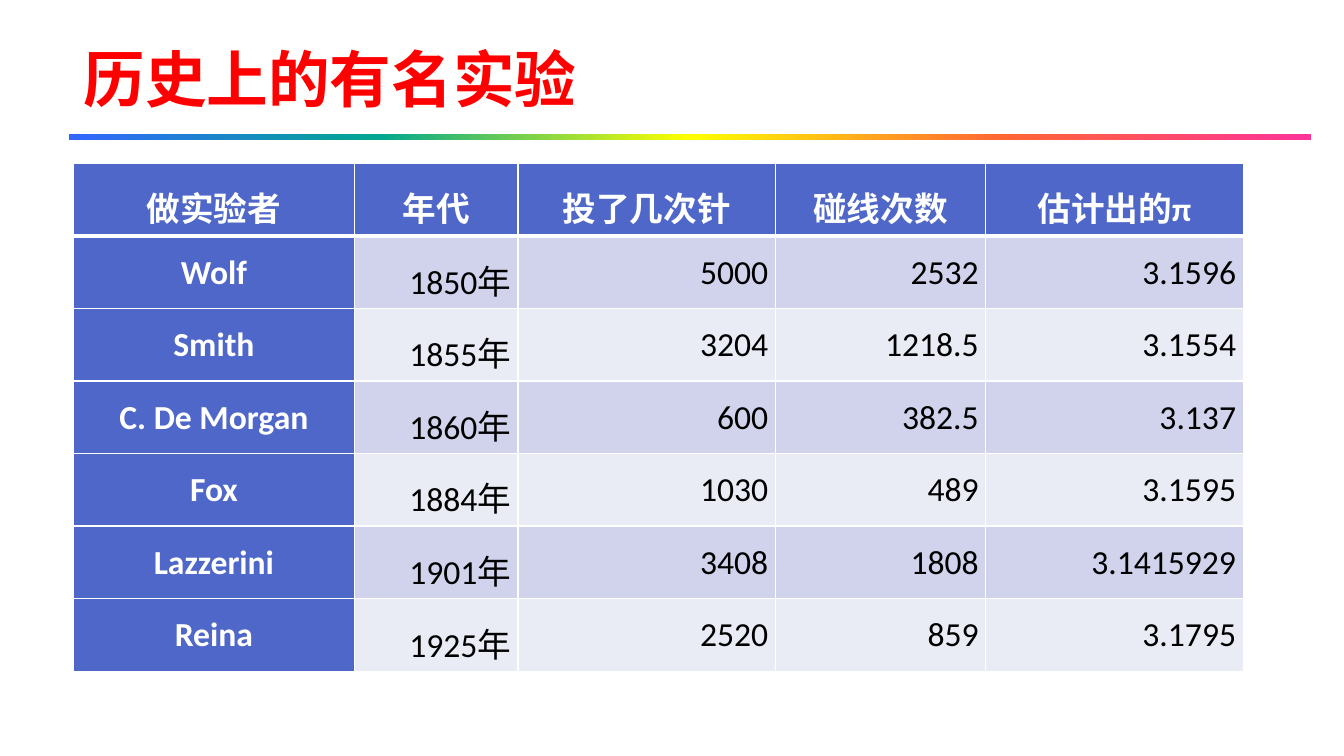
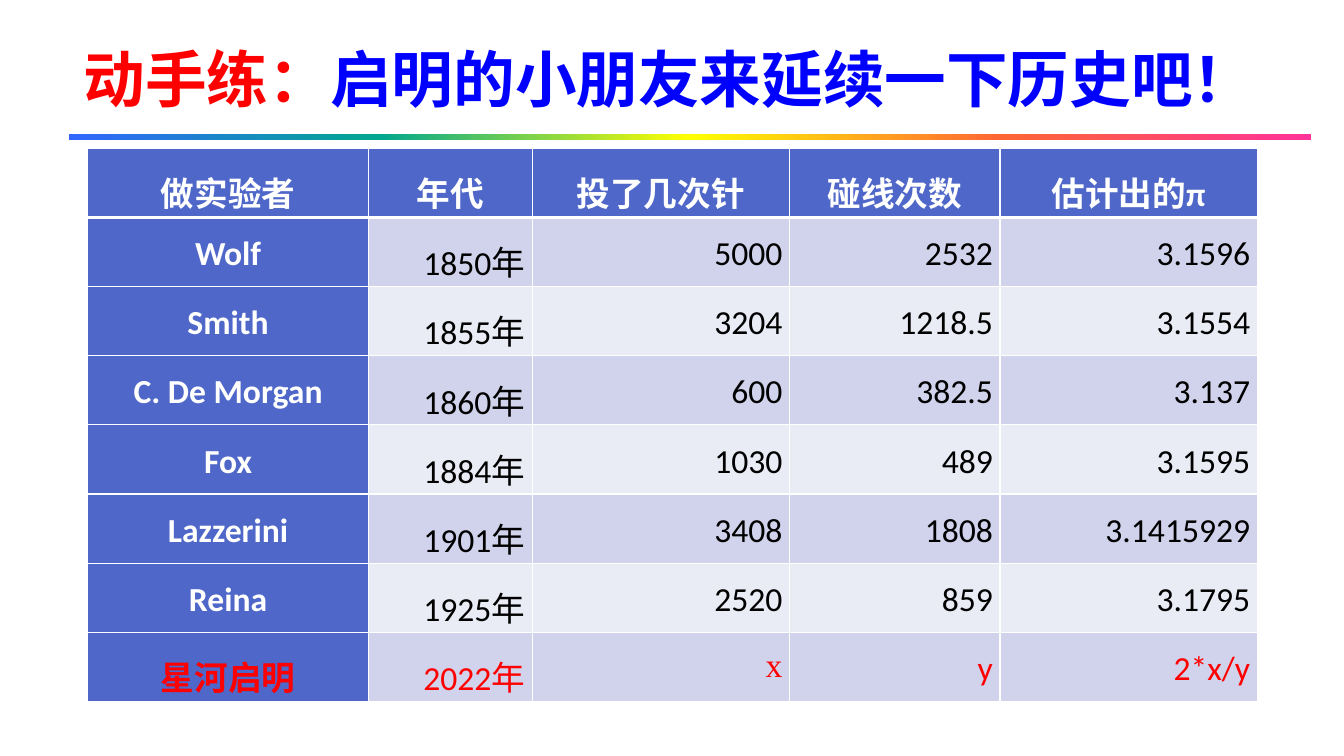
from dataclasses import astuple, dataclass

from lxml.etree import SubElement
from pptx import Presentation
from pptx.dml.color import RGBColor
from pptx.enum.shapes import MSO_SHAPE
from pptx.enum.text import MSO_ANCHOR, PP_ALIGN
from pptx.oxml.ns import qn
from pptx.slide import Slide
from pptx.table import _Cell
from pptx.text.text import Font
from pptx.util import Inches, Pt

SLIDE_WIDTH, SLIDE_HEIGHT = 13.33, 7.5
TABLE_WIDTH = 11.6
COLUMN_SHARES = (0.24, 0.14, 0.22, 0.18, 0.22)


@dataclass(frozen=True)
class Theme:
    red: str = "FF0000"
    blue: str = "0000FF"
    white: str = "FFFFFF"
    black: str = "000000"
    header: str = "4E67C8"
    bands: tuple[str, str] = ("D0D3EB", "E9EBF5")
    rainbow: tuple[str, ...] = ("3366FF", "01A78F", "FFFF00", "FF6633", "FF3399")
    title_font: str = "Arial"
    table_font: str = "Calibri"
    variable_font: str = "Times New Roman"
    title_size: int = 44
    table_size: int = 24
    thin_line: int = 1
    thick_line: int = 3


THEME = Theme()


@dataclass(frozen=True)
class TitlePart:
    text: str
    color: str


@dataclass(frozen=True)
class Experiment:
    name: str
    year: str
    throws: str
    crossings: str
    estimate: str


@dataclass(frozen=True)
class TableSlide:
    title: tuple[TitlePart, ...]
    experiments: tuple[Experiment, ...]
    left: float
    top: float
    height: float


HEADINGS = Experiment("做实验者", "年代", "投了几次针", "碰线次数", "估计出的π")
HISTORY = (
    Experiment("Wolf", "1850年", "5000", "2532", "3.1596"),
    Experiment("Smith", "1855年", "3204", "1218.5", "3.1554"),
    Experiment("C. De Morgan", "1860年", "600", "382.5", "3.137"),
    Experiment("Fox", "1884年", "1030", "489", "3.1595"),
    Experiment("Lazzerini", "1901年", "3408", "1808", "3.1415929"),
    Experiment("Reina", "1925年", "2520", "859", "3.1795"),
)
OUR_TURN = Experiment("星河启明", "2022年", "x", "y", "2*x/y")

SLIDES = (
    TableSlide((TitlePart("历史上的有名实验", THEME.red),), HISTORY, 0.73, 1.62, 5.04),
    TableSlide(
        (
            TitlePart("动手练：", THEME.red),
            TitlePart("启明的小朋友来延续一下历史吧！", THEME.blue),
        ),
        (*HISTORY, OUR_TURN), 0.87, 1.47, 5.49,
    ),
)


def style_font(font: Font, face: str, size: int, color: str, bold: bool) -> None:
    font.name, font.size, font.bold = face, Pt(size), bold
    font.color.rgb = RGBColor.from_string(color)


def add_rainbow_rule(slide: Slide) -> None:
    rule = slide.shapes.add_shape(
        MSO_SHAPE.RECTANGLE, Inches(0.68), Inches(1.33), Inches(12.32), Inches(0.06)
    )
    rule.shadow.inherit = False
    rule.line.fill.background()
    rule.fill.gradient()
    rule.fill.gradient_angle = 0
    stops = rule._element.spPr.find(qn("a:gradFill")).find(qn("a:gsLst"))
    for stop in list(stops):
        stops.remove(stop)
    step = 100000 // (len(THEME.rainbow) - 1)
    for index, color in enumerate(THEME.rainbow):
        stop = SubElement(stops, qn("a:gs"), pos=str(index * step))
        SubElement(stop, qn("a:srgbClr"), val=color)


def add_title(slide: Slide, parts: tuple[TitlePart, ...]) -> None:
    title = slide.shapes.add_textbox(
        Inches(0.73), Inches(0.18), Inches(12.6), Inches(1.18)
    ).text_frame
    title.word_wrap = True
    title.vertical_anchor = MSO_ANCHOR.MIDDLE
    for part in parts:
        run = title.paragraphs[0].add_run()
        run.text = part.text
        style_font(run.font, THEME.title_font, THEME.title_size, part.color, True)


def set_borders(cell: _Cell, top: int, bottom: int) -> None:
    """Draw white borders; top and bottom are widths in points."""
    properties = cell._tc.get_or_add_tcPr()
    widths = {"lnL": THEME.thin_line, "lnR": THEME.thin_line, "lnT": top, "lnB": bottom}
    for position, (side, width) in enumerate(widths.items()):
        border = SubElement(properties, qn(f"a:{side}"), w=str(Pt(width)))
        fill = SubElement(border, qn("a:solidFill"))
        SubElement(fill, qn("a:srgbClr"), val=THEME.white)
        properties.insert(position, border)


def fill_cell(cell: _Cell, text: str, row: int, column: int, ours: bool) -> None:
    is_heading = row == 0 or column == 0
    cell.margin_left = cell.margin_right = Inches(0.07)
    cell.margin_top = cell.margin_bottom = 0
    cell.fill.solid()
    background = THEME.header if is_heading else THEME.bands[(row - 1) % 2]
    cell.fill.fore_color.rgb = RGBColor.from_string(background)
    set_borders(
        cell,
        THEME.thick_line if row == 1 else THEME.thin_line,
        THEME.thick_line if row == 0 else THEME.thin_line,
    )
    cell.text_frame.text = text
    paragraph = cell.text_frame.paragraphs[0]
    paragraph.alignment = PP_ALIGN.CENTER if is_heading else PP_ALIGN.RIGHT
    paragraph.line_spacing = 1.4
    color = THEME.white if is_heading else THEME.black
    style_font(
        paragraph.runs[0].font,
        THEME.variable_font if text == OUR_TURN.throws else THEME.table_font,
        THEME.table_size,
        THEME.red if ours else color,
        is_heading,
    )


def add_experiment_table(slide: Slide, content: TableSlide) -> None:
    records = (HEADINGS, *content.experiments)
    table = slide.shapes.add_table(
        len(records), len(COLUMN_SHARES), Inches(content.left), Inches(content.top),
        Inches(TABLE_WIDTH), Inches(content.height),
    ).table
    for column, share in zip(table.columns, COLUMN_SHARES):
        column.width = Inches(TABLE_WIDTH * share)
    for row, record in enumerate(records):
        for column, text in enumerate(astuple(record)):
            fill_cell(table.cell(row, column), text, row, column, record is OUR_TURN)


def main() -> None:
    presentation = Presentation()
    presentation.slide_width = Inches(SLIDE_WIDTH)
    presentation.slide_height = Inches(SLIDE_HEIGHT)
    for content in SLIDES:
        slide = presentation.slides.add_slide(presentation.slide_layouts[6])
        add_rainbow_rule(slide)
        add_title(slide, content.title)
        add_experiment_table(slide, content)
    presentation.save("out.pptx")


if __name__ == "__main__":
    main()
